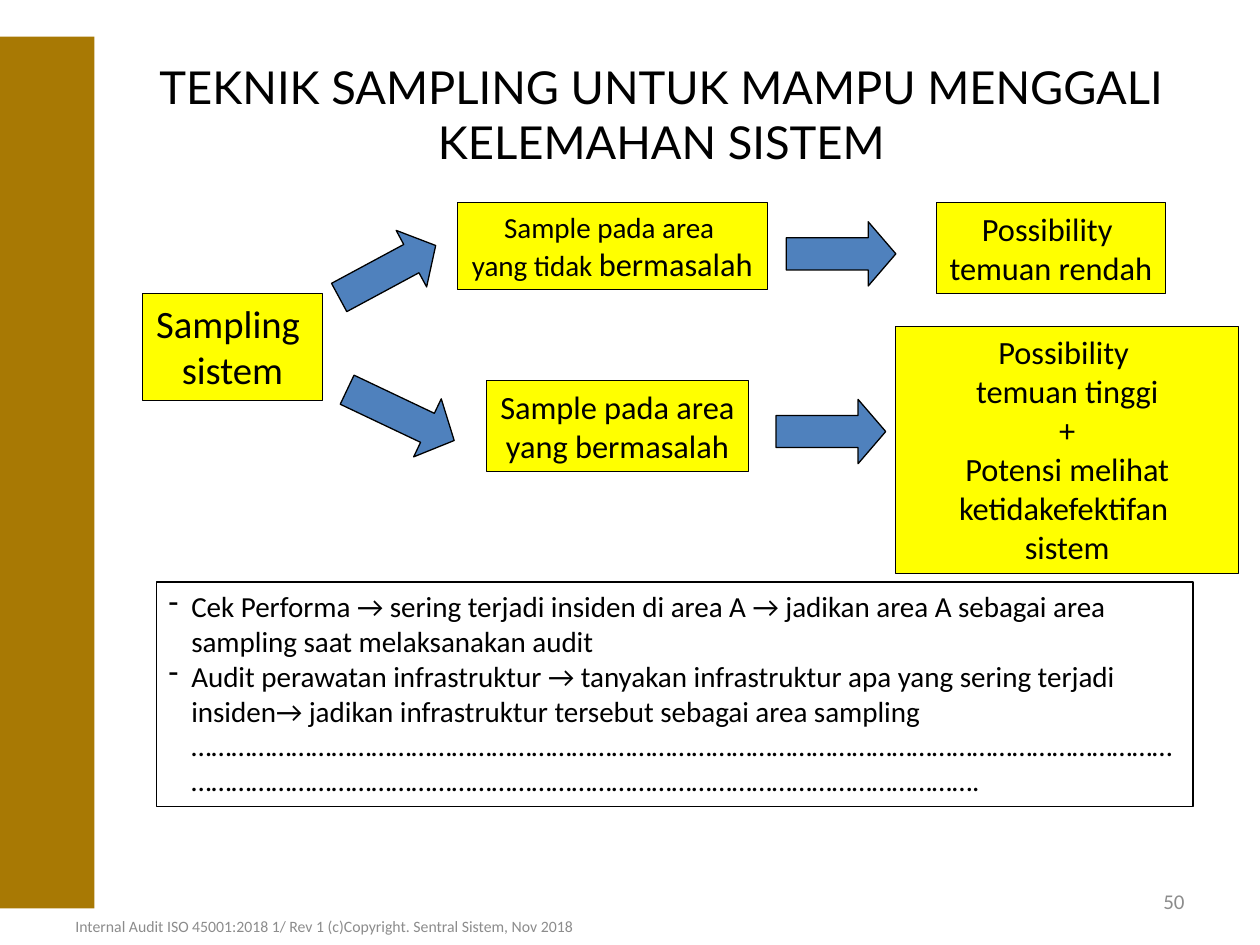
from lxml import etree
from pptx import Presentation
from pptx.dml.color import RGBColor
from pptx.enum.shapes import MSO_SHAPE
from pptx.enum.text import MSO_ANCHOR, PP_ALIGN
from pptx.oxml.ns import qn
from pptx.util import Inches, Pt

RECT, ARROW = MSO_SHAPE.RECTANGLE, MSO_SHAPE.RIGHT_ARROW
TOP, MIDDLE = MSO_ANCHOR.TOP, MSO_ANCHOR.MIDDLE
LEFT, CENTER, RIGHT = PP_ALIGN.LEFT, PP_ALIGN.CENTER, PP_ALIGN.RIGHT

BLACK = RGBColor(0x00, 0x00, 0x00)
YELLOW = RGBColor(0xFF, 0xFF, 0x00)
BLUE = RGBColor(0x4F, 0x81, 0xBD)
GOLD = RGBColor(0xA8, 0x79, 0x04)
GRAY = RGBColor(0x8C, 0x8C, 0x8C)

DOTS = "…" * 88 + "."
NOTES = [
    "Cek Performa → sering terjadi insiden di area A → jadikan area A "
    "sebagai area sampling saat melaksanakan audit",
    "Audit perawatan infrastruktur → tanyakan infrastruktur apa yang sering "
    "terjadi insiden→ jadikan infrastruktur tersebut sebagai area sampling "
    + DOTS,
]

# Box, text size, wrap and lines; a line may be a list of (text, size) runs
STEPS = [
    ((1.13, 2.33, 1.43, 0.85), 22.1, False, ["Sampling ", "sistem"]),
    ((3.63, 1.61, 2.46, 0.69), 16.6, False,
     ["Sample pada area ", [("yang tidak ", 16.6), ("bermasalah", 18.5)]]),
    ((3.86, 3.02, 2.08, 0.72), 18.5, False,
     ["Sample pada area", "yang bermasalah"]),
    ((7.43, 1.61, 1.82, 0.72), 18.5, False,
     ["Possibility ", "temuan rendah"]),
    ((7.11, 2.59, 2.72, 1.96), 18.5, True,
     ["Possibility ", "temuan tinggi", "+", "Potensi melihat",
      "ketidakefektifan ", "sistem"]),
]

# Box, turn in degrees and head length
ARROWS = [
    ((6.16, 3.17, 0.87, 0.51), 0, 0.43),
    ((6.24, 1.76, 0.87, 0.51), 0, 0.43),
    ((2.64, 1.90, 0.87, 0.51), 331.7, 0.43),
    ((2.71, 3.04, 0.94, 0.51), 25.4, 0.46),
]


def add_dash(para):
    props = para._p.get_or_add_pPr()
    props.set("marL", str(Inches(0.18)))
    props.set("indent", str(Inches(-0.18)))
    etree.SubElement(props, qn("a:buChar")).set("char", "-")


def write(frame, lines, size=18.5, font="Calibri", color=BLACK, align=CENTER,
          anchor=TOP, wrap=True, dash=False):
    frame.word_wrap = wrap
    frame.vertical_anchor = anchor
    for i, line in enumerate(lines):
        para = frame.add_paragraph() if i else frame.paragraphs[0]
        para.alignment = align
        if dash:
            add_dash(para)
        runs = [(line, size)] if isinstance(line, str) else line
        for text, points in runs:
            run = para.add_run()
            run.text = text
            run.font.name = font
            run.font.size = Pt(points)
            run.font.color.rgb = color


def add_block(slide, box, kind=RECT, fill=None, line=BLACK):
    shape = slide.shapes.add_shape(kind, *map(Inches, box))
    shape.shadow.inherit = False
    if fill is None:
        shape.fill.background()
    else:
        shape.fill.solid()
        shape.fill.fore_color.rgb = fill
    if line is None:
        shape.line.fill.background()
    else:
        shape.line.color.rgb = line
        shape.line.width = Pt(0.75)
    return shape


def add_title(slide, box, text):
    title = slide.shapes.title
    title.left, title.top, title.width, title.height = map(Inches, box)
    write(title.text_frame, [text], size=25.9, font="Lato", anchor=MIDDLE)


def add_step(slide, box, size, wrap, lines):
    shape = add_block(slide, box, fill=YELLOW)
    write(shape.text_frame, lines, size=size, wrap=wrap)


def add_arrow(slide, box, turn, head):
    arrow = add_block(slide, box, kind=ARROW, fill=BLUE)
    arrow.adjustments[0] = 0.5
    arrow.adjustments[1] = head
    arrow.rotation = turn


def add_notes(slide, box):
    shape = add_block(slide, box)
    write(shape.text_frame, NOTES, size=16.6, align=LEFT, dash=True)


def add_label(slide, box, text, size, align):
    label = slide.shapes.add_textbox(*map(Inches, box))
    write(label.text_frame, [text], size=size, color=GRAY, align=align,
          anchor=MIDDLE)


def main():
    deck = Presentation()
    deck.slide_width, deck.slide_height = Inches(10), Inches(7.5)
    slide = deck.slides.add_slide(deck.slide_layouts[5])

    add_title(slide, (0.75, 0.33, 9, 1.15),
              "TEKNIK SAMPLING UNTUK MAMPU MENGGALI KELEMAHAN SISTEM")

    # Sampling flow
    for step in STEPS:
        add_step(slide, *step)
    for arrow in ARROWS:
        add_arrow(slide, *arrow)

    add_notes(slide, (1.24, 4.62, 8.23, 1.78))

    # Side band and footer
    add_block(slide, (0, 0.29, 0.75, 6.92), fill=GOLD, line=None)
    add_label(slide, (7.17, 6.95, 2.33, 0.4), "50", 12, RIGHT)
    add_label(slide, (0.5, 7.2, 6.08, 0.3),
              "Internal Audit ISO 45001:2018 1/ Rev 1 (c)Copyright. "
              "Sentral Sistem, Nov 2018", 9, LEFT)

    deck.save("out.pptx")


if __name__ == "__main__":
    main()
